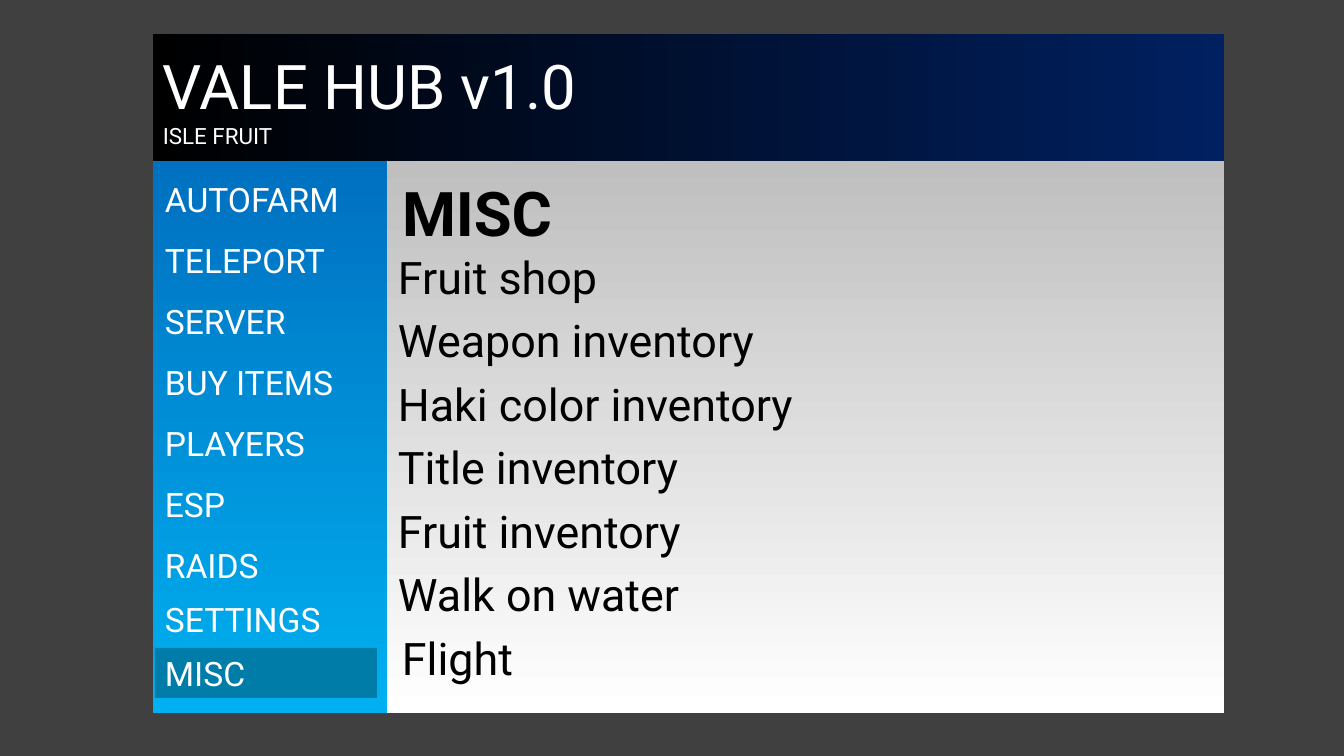
from pptx import Presentation
from pptx.dml.color import RGBColor
from pptx.enum.shapes import MSO_SHAPE
from pptx.enum.text import MSO_ANCHOR, MSO_AUTO_SIZE, PP_ALIGN
from pptx.util import Inches, Pt

PX = Inches(1) / 100.8
FONT = "Roboto"
BACKDROP = RGBColor(0x40, 0x40, 0x40)
BLACK = RGBColor(0, 0, 0)
WHITE = RGBColor(0xFF, 0xFF, 0xFF)
NAVY = RGBColor(0x00, 0x20, 0x60)
BLUE = RGBColor(0x00, 0x70, 0xC0)
SKY = RGBColor(0x00, 0xB0, 0xF0)
SELECTED = RGBColor(0x00, 0x7C, 0xA8)
SILVER = RGBColor(0xBF, 0xBF, 0xBF)

MENU = ["AUTOFARM", "TELEPORT", "SERVER", "BUY ITEMS", "PLAYERS", "ESP",
        "RAIDS", "SETTINGS", "MISC"]
OPTIONS = ["Fruit shop", "Weapon inventory", "Haki color inventory",
           "Title inventory", "Fruit inventory", "Walk on water", "Flight"]


def emu(*pixels):
    """Turn pixel lengths into EMU."""
    return [round(p * PX) for p in pixels]


def rectangle(slide, box):
    """Add a rectangle without line or shadow."""
    shape = slide.shapes.add_shape(MSO_SHAPE.RECTANGLE, *emu(*box))
    shape.shadow.inherit = False
    shape.line.fill.background()
    return shape


def gradient_panel(slide, box, start, end, angle):
    """Add a rectangle that blends from start to end."""
    fill = rectangle(slide, box).fill
    fill.gradient()
    fill.gradient_angle = angle
    for stop, color in zip(fill.gradient_stops, (start, end)):
        stop.color.rgb = color


def write(shape, lines, color, bold=False):
    """Fill a shape with left-aligned (text, size) lines."""
    frame = shape.text_frame
    frame.word_wrap = True
    frame.auto_size = MSO_AUTO_SIZE.SHAPE_TO_FIT_TEXT
    frame.vertical_anchor = MSO_ANCHOR.TOP
    for i, (text, size) in enumerate(lines):
        paragraph = frame.add_paragraph() if i else frame.paragraphs[0]
        paragraph.alignment = PP_ALIGN.LEFT
        run = paragraph.add_run()
        run.text = text
        run.font.name = FONT
        run.font.size = Pt(size)
        run.font.bold = bold
        run.font.color.rgb = color


def label(slide, box, lines, color):
    """Add a text box."""
    write(slide.shapes.add_textbox(*emu(*box)), lines, color)


def header(slide, box):
    """Draw the banner with the hub name and the game name."""
    x, y, _, _ = box
    gradient_panel(slide, box, BLACK, NAVY, 0)
    label(slide, (x, y + 9, 599, 109),
          [("VALE HUB v1.0", 44), ("ISLE FRUIT", 16)], WHITE)


def sidebar(slide, box, selected):
    """Draw the menu; the rows after the seventh sit closer together."""
    x, y, _, _ = box
    gradient_panel(slide, box, BLUE, SKY, 270)
    for i, name in enumerate(MENU):
        top = y + 13 + 61 * min(i, 6) + 54 * max(i - 6, 0)
        row = (x + 2, top, 222, 50)
        if name == selected:
            button = rectangle(slide, row)
            button.fill.solid()
            button.fill.fore_color.rgb = SELECTED
            write(button, [(name, 24)], WHITE)
        else:
            label(slide, row, [(name, 24)], WHITE)


def content(slide, box, heading):
    """Draw the page panel with its title and evenly spaced options."""
    x, y, _, _ = box
    gradient_panel(slide, box, SILVER, WHITE, 270)
    title = slide.shapes.title
    title.left, title.top, title.width, title.height = emu(x + 5, y + 9, 781, 85)
    write(title, [(heading, 44)], BLACK, bold=True)
    title.element.getparent().append(title.element)  # in front of the panel
    for i, option in enumerate(OPTIONS):
        indent = 5 if option == OPTIONS[-1] else 1
        label(slide, (x + indent, y + 84 + 127 * i // 2, 842, 65),
              [(option, 32)], BLACK)


def main():
    """Build the slide and save it."""
    deck = Presentation()
    deck.slide_width, deck.slide_height = emu(1344, 756)
    slide = deck.slides.add_slide(deck.slide_layouts[5])
    backdrop = slide.background.fill
    backdrop.solid()
    backdrop.fore_color.rgb = BACKDROP
    sidebar(slide, (153, 161, 235, 552), "MISC")
    content(slide, (387, 161, 837, 552), "MISC")
    header(slide, (153, 34, 1071, 127))
    deck.save("out.pptx")


main()
